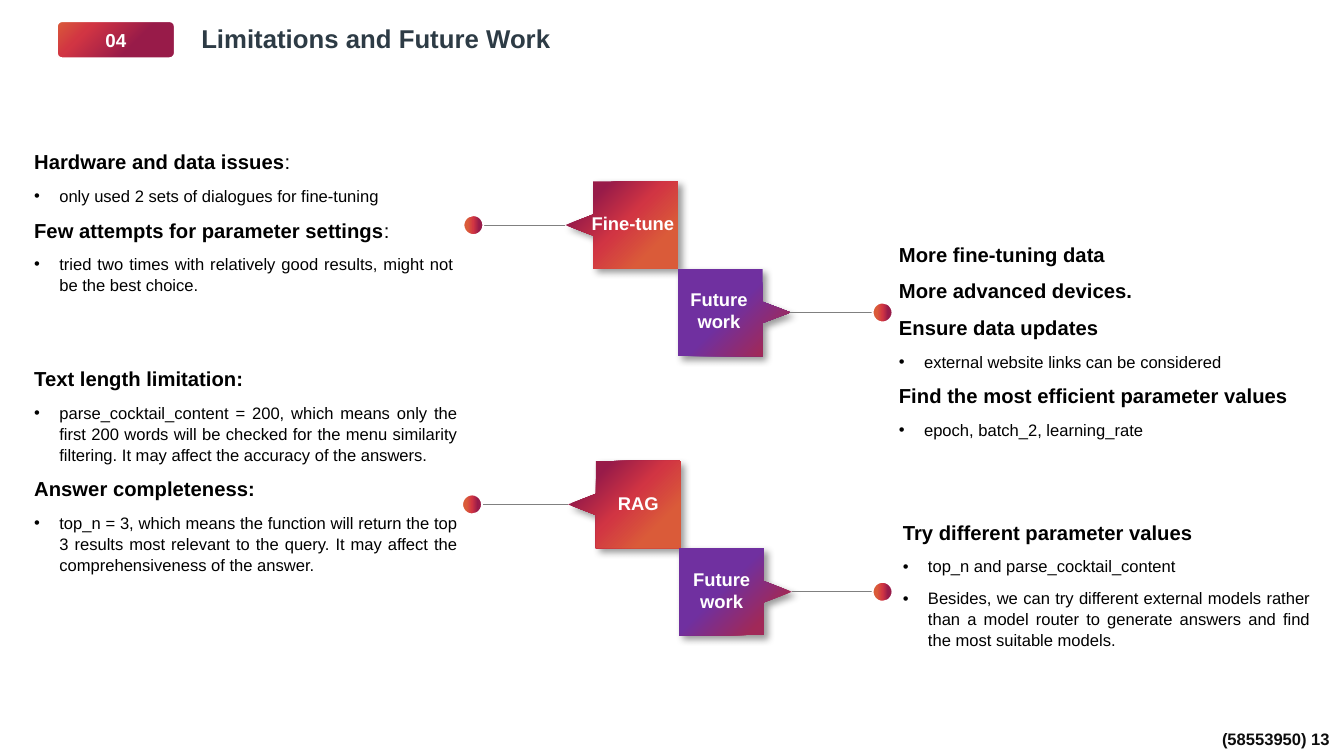
from pptx import Presentation
from pptx.dml.color import RGBColor
from pptx.enum.shapes import MSO_CONNECTOR, MSO_SHAPE
from pptx.enum.text import MSO_ANCHOR, MSO_AUTO_SIZE, PP_ALIGN
from pptx.oxml import parse_xml
from pptx.oxml.ns import qn
from pptx.util import Inches, Pt

LEFT, CENTER, RIGHT, JUSTIFY = PP_ALIGN.LEFT, PP_ALIGN.CENTER, PP_ALIGN.RIGHT, PP_ALIGN.JUSTIFY
TOP, MIDDLE = MSO_ANCHOR.TOP, MSO_ANCHOR.MIDDLE
GROW, FIXED = MSO_AUTO_SIZE.SHAPE_TO_FIT_TEXT, MSO_AUTO_SIZE.NONE
STRAIGHT = MSO_CONNECTOR.STRAIGHT
OVAL, ROUNDED = MSO_SHAPE.OVAL, MSO_SHAPE.ROUNDED_RECTANGLE
NS = 'xmlns:a="http://schemas.openxmlformats.org/drawingml/2006/main"'

WARM = [(22, "DA5B39"), (50, "D13543"), (78, "981B49")]
BADGE = [(35, "981B49"), (75, "D13543"), (100, "DA5B39")]
PURPLE_LINEAR = [(48, "7030A0"), (85, "A12958")]
PURPLE_RADIAL = [(42, "7030A0"), (78, "A12958")]
ACROSS = '<a:lin ang="0" scaled="0"/>'
DIAGONAL = '<a:lin ang="2700000" scaled="0"/>'
FROM_BOTTOM_RIGHT = '<a:path path="circle"><a:fillToRect l="100000" t="100000"/></a:path>'
FROM_TOP_LEFT = '<a:path path="circle"><a:fillToRect r="100000" b="100000"/></a:path>'
SHADOW = (f'<a:outerShdw {NS} blurRad="50800" dist="38100" dir="2700000" algn="tl" rotWithShape="0">'
          '<a:srgbClr val="000000"><a:alpha val="40000"/></a:srgbClr></a:outerShdw>')


def set_gradient(shape, stops, direction):
    shape.shadow.inherit = False
    shape.fill.solid()
    properties = shape._element.spPr
    stop_xml = "".join(f'<a:gs pos="{position * 1000}"><a:srgbClr val="{color}"/></a:gs>'
                       for position, color in stops)
    gradient = parse_xml(f'<a:gradFill {NS} rotWithShape="1"><a:gsLst>{stop_xml}</a:gsLst>'
                         f'{direction}</a:gradFill>')
    properties.replace(properties.find(qn("a:solidFill")), gradient)


def write(frame, paragraphs, size, color, align, wrap=False, fit=GROW, anchor=TOP, before=0, spacing=None):
    for name, value in {"word_wrap": wrap, "auto_size": fit, "vertical_anchor": anchor}.items():
        setattr(frame, name, value)
    for index, (kind, *texts) in enumerate(paragraphs):
        paragraph = frame.paragraphs[0] if index == 0 else frame.add_paragraph()
        if kind == "bullet":
            layout = paragraph._p.get_or_add_pPr()
            layout.set("marL", str(Inches(0.19)))
            layout.set("indent", str(-Inches(0.19)))
            layout.append(parse_xml(f'<a:buFont {NS} typeface="Arial"/>'))
            layout.append(parse_xml(f'<a:buChar {NS} char="•"/>'))
        paragraph.alignment = align
        paragraph.line_spacing = spacing
        paragraph.space_before = Pt(before if index else 0)
        for position, text in enumerate(texts):
            run = paragraph.add_run()
            run.text = text
            run.font.color.rgb = RGBColor.from_string(color)
            style = {"name": "Arial", "size": Pt(9 if kind == "bullet" else size),
                     "bold": kind == "head" and position == 0}
            for name, value in style.items():
                setattr(run.font, name, value)


deck = Presentation()
deck.slide_width, deck.slide_height = Inches(10.15), Inches(5.71)
slide = deck.slides.add_slide(deck.slide_layouts[5])
shapes = slide.shapes

title = shapes.title
for name, value in {"left": 1.42, "top": 0.12, "width": 2.91, "height": 0.34}.items():
    setattr(title, name, Inches(value))
write(title.text_frame, [("head", "Limitations and Future Work")], 14, "2D3B45", LEFT)

section = shapes.add_shape(ROUNDED, Inches(0.43), Inches(0.16), Inches(0.89), Inches(0.28))
section.adjustments[0] = 0.137
set_gradient(section, BADGE, FROM_BOTTOM_RIGHT)
section.line.color.rgb = RGBColor.from_string("FFFFFF")
section.line.width = Pt(1)
for side in ("left", "top", "right", "bottom"):
    setattr(section.text_frame, f"margin_{side}", 0)
write(section.text_frame, [("head", "04")], 10.2, "FFFFFF", CENTER, fit=FIXED, anchor=MIDDLE)

BODY, HEIGHT, TIP, NOTCH, DOT = 0.64, 0.66, 0.21, 0.08, 0.15
FUTURE = [("head", "Future"), ("head", "work")]
callouts = [
    ([("head", "Fine-tune")], 5.12, 1.37, -1, WARM, FROM_BOTTOM_RIGHT, 4.78, 0.83, 3.5),
    (FUTURE, 5.12, 2.03, 1, PURPLE_LINEAR, DIAGONAL, 5.43, 0.64, 6.59),
    ([("head", "RAG")], 5.14, 3.48, -1, WARM, FROM_BOTTOM_RIGHT, 4.82, 0.51, 3.49),
    (FUTURE, 5.13, 4.14, 1, PURPLE_RADIAL, FROM_TOP_LEFT, 5.45, 0.64, 6.59),
]
for label, edge, top, way, stops, direction, label_center, label_width, dot_left in callouts:
    middle = top + HEIGHT / 2
    base = edge + way * BODY
    tip = base + way * TIP
    outline = [(edge, top + HEIGHT), (base, top + HEIGHT), (base, middle + NOTCH),
               (tip, middle), (base, middle - NOTCH), (base, top)]
    builder = shapes.build_freeform(Inches(edge), Inches(top))
    builder.add_line_segments([(Inches(x), Inches(y)) for x, y in outline], close=True)
    callout = builder.convert_to_shape()
    set_gradient(callout, stops, direction)
    callout.line.fill.background()
    callout._element.spPr.find(qn("a:effectLst")).append(parse_xml(SHADOW))

    start, end = sorted((tip, tip + way * 0.66))
    leader = shapes.add_connector(STRAIGHT, Inches(start), Inches(middle), Inches(end), Inches(middle))
    leader.line.color.rgb = RGBColor.from_string("808080")
    leader.line.width = Pt(0.5)
    leader._element.spPr.append(parse_xml(f"<a:effectLst {NS}/>"))

    dot = shapes.add_shape(OVAL, Inches(dot_left), Inches(middle - DOT / 2), Inches(DOT), Inches(DOT))
    set_gradient(dot, WARM, ACROSS)
    dot.line.color.rgb = RGBColor.from_string("FFFFFF")
    dot.line.width = Pt(1)

    label_height = 0.1 + 0.17 * len(label)
    caption = shapes.add_textbox(Inches(label_center - label_width / 2), Inches(middle - label_height / 2 - 0.01),
                                 Inches(label_width), Inches(label_height))
    write(caption.text_frame, label, 10, "FFFFFF", CENTER)

notes = [
    (0.16, 1.07, 3.36, 1.21, [
        ("head", "Hardware and data issues", ":"),
        ("bullet", "only used 2 sets of dialogues for fine-tuning"),
        ("head", "Few attempts for parameter settings", ":"),
        ("bullet", "tried two times with relatively good results, might not be the best choice."),
    ]),
    (0.16, 2.71, 3.39, 1.63, [
        ("head", "Text length limitation:"),
        ("bullet", "parse_cocktail_content = 200, which means only the first 200 words will be checked "
                   "for the menu similarity filtering. It may affect the accuracy of the answers."),
        ("head", "Answer completeness:"),
        ("bullet", "top_n = 3, which means the function will return the top 3 results most relevant "
                   "to the query. It may affect the comprehensiveness of the answer."),
    ]),
    (6.69, 1.77, 3.31, 1.57, [
        ("head", "More fine-tuning data"),
        ("head", "More advanced devices."),
        ("head", "Ensure data updates"),
        ("bullet", "external website links can be considered"),
        ("head", "Find the most efficient parameter values"),
        ("bullet", "epoch, batch_2, learning_rate"),
    ]),
    (6.72, 3.87, 3.27, 1.06, [
        ("head", "Try different parameter values"),
        ("bullet", "top_n and parse_cocktail_content"),
        ("bullet", "Besides, we can try different external models rather than a model router "
                   "to generate answers and find the most suitable models."),
    ]),
]
for *place, points in notes:
    note = shapes.add_textbox(*map(Inches, place))
    write(note.text_frame, points, 11, "000000", JUSTIFY, wrap=True, before=6, spacing=1.05)

page = shapes.add_textbox(Inches(7.8), Inches(5.45), Inches(2.34), Inches(0.25))
write(page.text_frame, [("head", "(58553950) 13")], 9, "0D0D0D", RIGHT, wrap=True, spacing=1.05)

deck.save("out.pptx")
